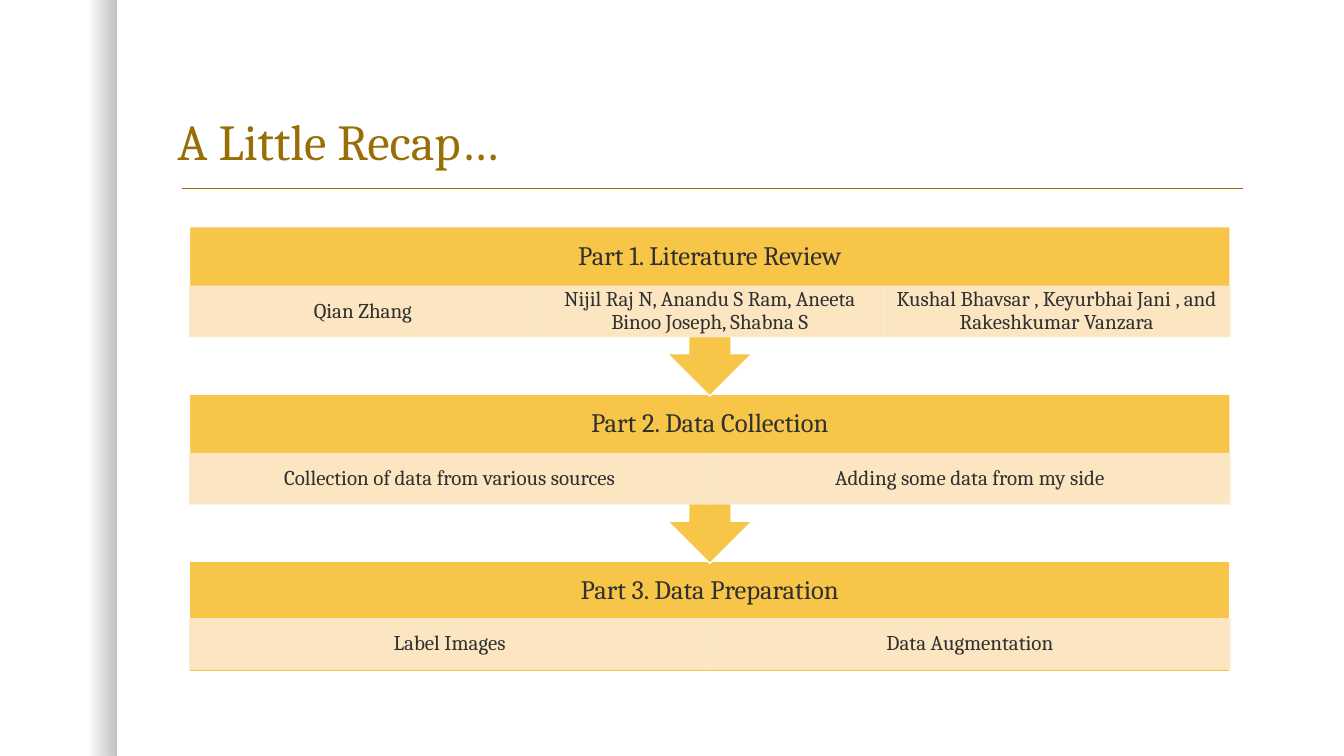
from dataclasses import dataclass

from lxml.etree import SubElement
from pptx import Presentation
from pptx.dml.color import RGBColor
from pptx.enum.shapes import MSO_CONNECTOR, MSO_SHAPE
from pptx.enum.text import MSO_ANCHOR, PP_ALIGN
from pptx.oxml.ns import qn
from pptx.util import Inches, Pt

# Content
TITLE = "A Little Recap…"
PARTS = [
    ("Part 1. Literature Review", [
        "Qian Zhang",
        "Nijil Raj N, Anandu S Ram, Aneeta Binoo Joseph, Shabna S",
        "Kushal Bhavsar , Keyurbhai Jani , and Rakeshkumar Vanzara",
    ]),
    ("Part 2. Data Collection", [
        "Collection of data from various sources",
        "Adding some data from my side",
    ]),
    ("Part 3. Data Preparation", ["Label Images", "Data Augmentation"]),
]


@dataclass(frozen=True)
class Theme:
    font: str = "Cambria"
    title: RGBColor = RGBColor.from_string("986F07")
    gold: RGBColor = RGBColor.from_string("F7C547")
    cream: RGBColor = RGBColor.from_string("FCEACF")
    ink: RGBColor = RGBColor.from_string("303030")
    white: RGBColor = RGBColor.from_string("FFFFFF")
    shade: RGBColor = RGBColor.from_string("000000")
    title_size: int = 36
    head_size: int = 19
    cell_size: int = 15


THEME = Theme()

# Layout, in inches
LEFT, TOP, WIDTH = 1.88, 2.25, 10.32
PITCH, CALLOUT_HEIGHT, BOX_HEIGHT = 1.66, 1.68, 1.09
HEAD_HEIGHT, LAST_HEAD_HEIGHT, CELL_HEIGHT = 0.59, 0.57, 0.5


def set_alpha(color_element, percent):
    SubElement(color_element, qn("a:alpha")).set("val", str(percent * 1000))


def add_box(page, kind, place, fill, line):
    box = page.shapes.add_shape(kind, *map(Inches, place))
    box.shadow.inherit = False
    box.fill.solid()
    box.fill.fore_color.rgb = fill
    box.line.color.rgb = line
    box.line.width = Pt(1)
    return box


def write(box, text, size, color, align=PP_ALIGN.CENTER,
          anchor=MSO_ANCHOR.MIDDLE, insets=(0.1, 0.05)):
    frame = box.text_frame
    frame.word_wrap = True
    frame.vertical_anchor = anchor
    frame.margin_left = frame.margin_right = Inches(insets[0])
    frame.margin_top = frame.margin_bottom = Inches(insets[1])
    para = frame.paragraphs[0]
    para.alignment = align
    para.line_spacing = 0.9
    span = para.add_run()
    span.text = text
    span.font.name = THEME.font
    span.font.size = Pt(size)
    span.font.color.rgb = color


def add_text(page, place, *args, **options):
    write(page.shapes.add_textbox(*map(Inches, place)), *args, **options)


def add_side_shade(page):
    band = page.shapes.add_shape(MSO_SHAPE.RECTANGLE, 0, 0, Inches(1.16), Inches(7.5))
    band.shadow.inherit = False
    band.line.fill.background()
    band.fill.gradient()
    band.fill.gradient_angle = 0
    for stop, position in zip(band.fill.gradient_stops, (0.75, 1)):
        stop.position = position
        stop.color.rgb = THEME.shade
    for color, percent in zip(band.element.iter(qn("a:srgbClr")), (0, 25)):
        set_alpha(color, percent)


def add_title(page):
    rule = page.shapes.add_connector(
        MSO_CONNECTOR.STRAIGHT, *map(Inches, (1.81, 1.87, 12.33, 1.87)))
    rule.line.color.rgb = THEME.title
    rule.line.width = Pt(1)
    SubElement(rule.element.spPr, qn("a:effectLst"))
    add_text(page, (1.66, 0.42, 10.75, 1.33), TITLE, THEME.title_size, THEME.title,
             align=PP_ALIGN.LEFT, anchor=MSO_ANCHOR.BOTTOM)


def add_part(page, index, heading, cells):
    top = TOP + index * PITCH
    last = index == len(PARTS) - 1
    kind = MSO_SHAPE.RECTANGLE if last else MSO_SHAPE.DOWN_ARROW_CALLOUT
    height = BOX_HEIGHT if last else CALLOUT_HEIGHT
    add_box(page, kind, (LEFT, top, WIDTH, height), THEME.gold, THEME.white)
    add_text(page, (LEFT, top, WIDTH, HEAD_HEIGHT), heading,
             THEME.head_size, THEME.ink, insets=(0.15, 0.15))

    # Equal cells under the heading
    cell_top = top + (LAST_HEAD_HEIGHT if last else HEAD_HEIGHT)
    cell_width = WIDTH / len(cells)
    for column, text in enumerate(cells):
        place = (LEFT + column * cell_width, cell_top, cell_width, CELL_HEIGHT)
        cell = add_box(page, MSO_SHAPE.RECTANGLE, place, THEME.cream, THEME.cream)
        for color in cell.element.spPr.iter(qn("a:srgbClr")):
            set_alpha(color, 90)
        write(cell, text, THEME.cell_size, THEME.ink, insets=(0.12, 0.02))


def main():
    deck = Presentation()
    deck.slide_width, deck.slide_height = Inches(13.33), Inches(7.5)
    page = deck.slides.add_slide(deck.slide_layouts[6])
    add_side_shade(page)
    add_title(page)
    # Last part first, so each arrow tip lies over the part below it
    for index, (heading, cells) in reversed(list(enumerate(PARTS))):
        add_part(page, index, heading, cells)
    deck.save("out.pptx")


if __name__ == "__main__":
    main()
